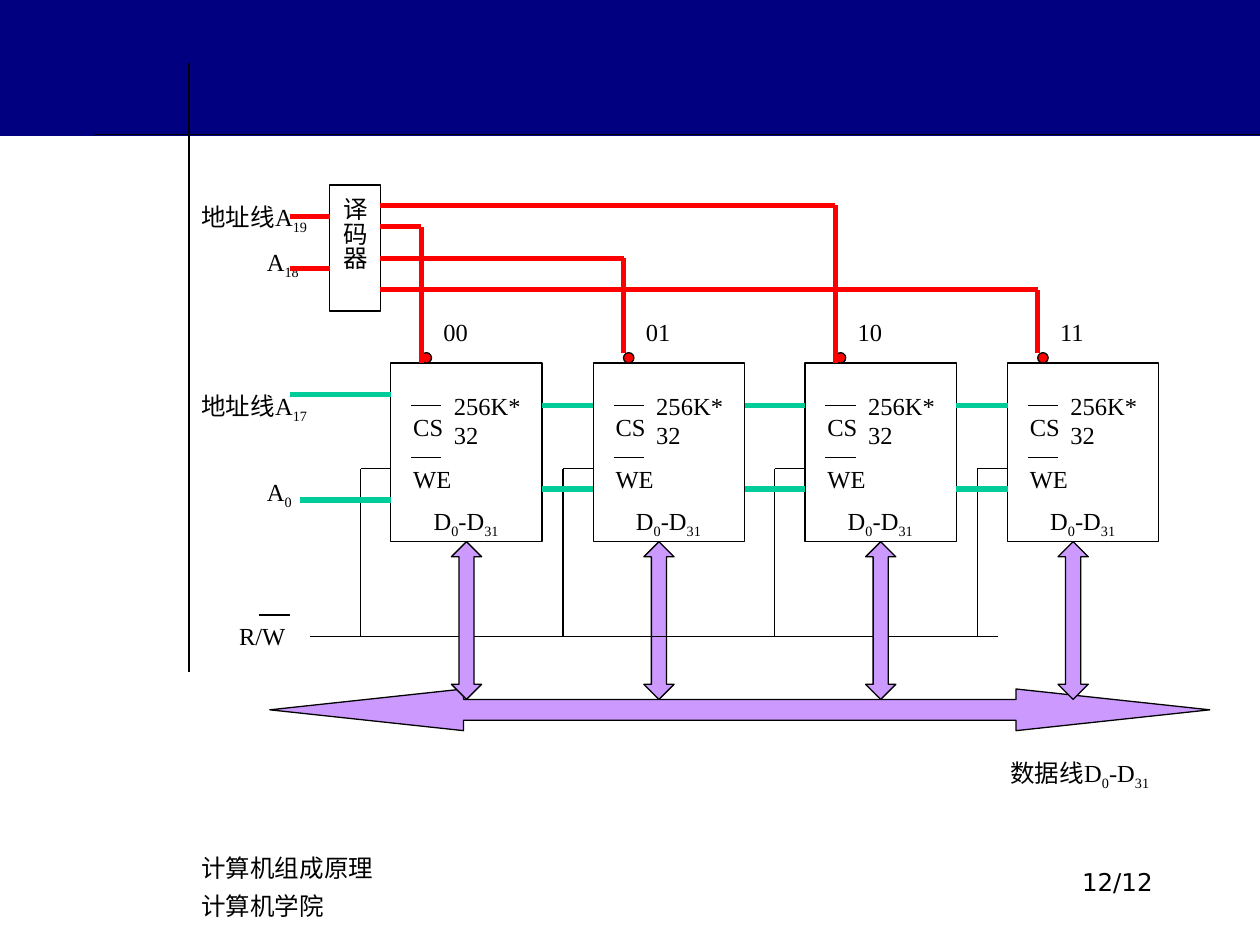
from dataclasses import dataclass

from lxml import etree
from pptx import Presentation
from pptx.dml.color import RGBColor
from pptx.enum.shapes import MSO_CONNECTOR, MSO_SHAPE
from pptx.enum.text import MSO_ANCHOR, MSO_AUTO_SIZE, PP_ALIGN
from pptx.oxml.ns import qn
from pptx.util import Cm, Pt

STRAIGHT = MSO_CONNECTOR.STRAIGHT
RECTANGLE, OVAL = MSO_SHAPE.RECTANGLE, MSO_SHAPE.OVAL
WIDE_ARROW, TALL_ARROW = MSO_SHAPE.LEFT_RIGHT_ARROW, MSO_SHAPE.UP_DOWN_ARROW
LEFT, CENTER, RIGHT = PP_ALIGN.LEFT, PP_ALIGN.CENTER, PP_ALIGN.RIGHT
MIDDLE = MSO_ANCHOR.MIDDLE
GROW, FIXED = MSO_AUTO_SIZE.SHAPE_TO_FIT_TEXT, MSO_AUTO_SIZE.NONE

COLORS = {"ink": "000000", "header": "000080", "select": "FF0000",
          "address": "00CC99", "data": "CC99FF"}
SERIF, SANS = "Times New Roman", "DejaVu Sans"

CHIP_TOP, CHIP_WIDTH, CHIP_HEIGHT = 7.32, 3.05, 3.6
CHIP_BOTTOM = CHIP_TOP + CHIP_HEIGHT
SELECT_OFFSET, WRITE_OFFSET = 0.61, -0.61
CONTROL_TOP, CONTROL_BOTTOM = 9.45, 12.83
DECODER_LEFT, DECODER_WIDTH = 6.65, 1.02
DECODER_RIGHT = DECODER_LEFT + DECODER_WIDTH


@dataclass(frozen=True)
class Chip:
    code: str
    left: float
    arrow_offset: float
    select_top: float
    select_bottom: float


@dataclass(frozen=True)
class Label:
    text: str
    left: float
    top: float
    width: float
    height: float = 0.84


CHIPS = [
    Chip("00", 7.88, 1.22, 4.57, 7.32),
    Chip("01", 11.96, 1.02, 5.21, 7.11),
    Chip("10", 16.23, 1.22, 4.14, 7.32),
    Chip("11", 20.31, 1.02, 5.84, 7.11),
]
CHIP_LABELS = [
    Label("CS", 0.2, 8.18, 1.42),
    Label("WE", 0.2, 9.22, 1.42),
    Label("256K*32", 1.02, 7.75, 2.03, 1.45),
    Label("D|0|-D|31", 0.61, 10.08, 2.03),
]


def color(name: str) -> RGBColor:
    """Return the named colour."""
    return RGBColor.from_string(COLORS[name])


def add_run(paragraph, text: str, font: str, subscript: bool):
    """Append one formatted run."""
    run = paragraph.add_run()
    run.text = text
    run.font.size = Pt(14)
    run.font.name = font
    run.font.color.rgb = color("ink")
    properties = run._r.get_or_add_rPr()
    etree.SubElement(properties, qn("a:ea")).set("typeface", SANS)
    if subscript:
        properties.set("baseline", "-25000")


def write_text(frame, text, *, font=SERIF, align=LEFT, indent=0, gap=0, spacing=None):
    """Fill a frame; bars separate subscripts and slashes pairs break lines."""
    for index, line in enumerate(text.split("\n")):
        paragraph = frame.paragraphs[0] if index == 0 else frame.add_paragraph()
        paragraph.alignment = align
        if spacing:
            paragraph.line_spacing = spacing
        if index:
            paragraph.space_before = Pt(gap)
            if indent:
                paragraph._p.get_or_add_pPr().set("marL", str(Cm(indent)))
        for row, words in enumerate(line.split("//")):
            if row:
                paragraph.add_line_break()
                etree.SubElement(paragraph._p[-1], qn("a:rPr")).set("sz", "1400")
            for position, part in enumerate(words.split("|")):
                add_run(paragraph, part, font, position % 2 == 1)


def add_label(slide, label: Label, *, auto_size=GROW, **text_format):
    """Add a wrapping text box."""
    box = slide.shapes.add_textbox(
        Cm(label.left), Cm(label.top), Cm(label.width), Cm(label.height))
    box.text_frame.word_wrap = True
    box.text_frame.auto_size = auto_size
    write_text(box.text_frame, label.text, **text_format)


def add_shape(slide, kind, left: float, top: float, width: float, height: float, *,
              fill=None, outline="ink", adjustments=()):
    """Add a preset shape without shadow."""
    shape = slide.shapes.add_shape(kind, Cm(left), Cm(top), Cm(width), Cm(height))
    shape.shadow.inherit = False
    for index, value in enumerate(adjustments):
        shape.adjustments[index] = value
    if fill:
        shape.fill.solid()
        shape.fill.fore_color.rgb = color(fill)
    else:
        shape.fill.background()
    if outline:
        shape.line.color.rgb = color(outline)
        shape.line.width = Pt(0.75)
    else:
        shape.line.fill.background()
    return shape


def add_path(slide, *points, stroke="ink", weight=0.75):
    """Join the points with straight connectors."""
    for start, end in zip(points, points[1:]):
        connector = slide.shapes.add_connector(
            STRAIGHT, Cm(start[0]), Cm(start[1]), Cm(end[0]), Cm(end[1]))
        connector.line.color.rgb = color(stroke)
        connector.line.width = Pt(weight)
        etree.SubElement(connector._element.spPr, qn("a:effectLst"))


def add_chip(slide, chip: Chip):
    """Draw one memory chip with its labels, write line and data arrow."""
    add_shape(slide, RECTANGLE, chip.left, CHIP_TOP, CHIP_WIDTH, CHIP_HEIGHT)
    for label in CHIP_LABELS:
        add_label(slide, Label(label.text, chip.left + label.left, label.top,
                               label.width, label.height))
    for top in (8.18, 9.22):
        add_path(slide, (chip.left + 0.41, top), (chip.left + 1.02, top))
    add_label(slide, Label(chip.code, chip.left + 0.81, 6.27, 1.63))
    add_shape(slide, OVAL, chip.left + SELECT_OFFSET, 7.11, 0.21, 0.21, fill="select")
    add_shape(slide, TALL_ARROW, chip.left + chip.arrow_offset, CHIP_BOTTOM, 0.61, 3.18,
              fill="data", adjustments=(1.0, 0.5))
    write_left = chip.left + WRITE_OFFSET
    add_path(slide, (chip.left, CONTROL_TOP), (write_left, CONTROL_TOP),
             (write_left, CONTROL_BOTTOM))


def add_address_lines(slide):
    """Draw the low address lines through the chips."""
    first = CHIPS[0].left
    segments = [(5.84, first, 7.95), (6.05, first, 10.08)]
    for chip, following in zip(CHIPS, CHIPS[1:]):
        segments += [(chip.left + CHIP_WIDTH, following.left, top) for top in (8.18, 9.86)]
    for start, end, top in segments:
        add_path(slide, (start, top), (end, top), stroke="address", weight=3)


def add_decoder(slide):
    """Draw the decoder with its inputs and chip select lines."""
    decoder = add_shape(slide, RECTANGLE, DECODER_LEFT, 3.73, DECODER_WIDTH, 2.54)
    frame = decoder.text_frame
    frame.word_wrap = False
    frame.vertical_anchor = MIDDLE
    frame._txBody.bodyPr.set("vert", "eaVert")
    write_text(frame, "译码器", align=CENTER)
    add_label(slide, Label("地址线A|19\nA|18", 3.81, 3.94, 5.28, 1.75), indent=1.32, gap=7)
    for top in (4.37, 5.41):
        add_path(slide, (5.84, top), (DECODER_LEFT, top), stroke="select", weight=3)
    for chip in CHIPS:
        turn = chip.left + SELECT_OFFSET
        add_path(slide, (DECODER_RIGHT, chip.select_top), (turn, chip.select_top),
                 (turn, chip.select_bottom), stroke="select", weight=3)


def main():
    """Build the memory expansion slide."""
    presentation = Presentation()
    presentation.slide_width, presentation.slide_height = Cm(25.4), Cm(19.05)
    slide = presentation.slides.add_slide(presentation.slide_layouts[6])
    add_shape(slide, RECTANGLE, 0, 0, 25.4, 2.74, fill="header", outline=None)
    add_path(slide, (25.4, 2.71), (1.9, 2.71))
    add_path(slide, (3.81, 1.27), (3.81, 13.54))
    add_label(slide, Label("计算机组成原理//计算机学院", 3.81, 16.89, 12.07, 1.27),
              auto_size=FIXED, font=SANS, spacing=1.3)
    add_label(slide, Label("12/12", 18.21, 17.35, 5.28, 1.27),
              auto_size=FIXED, font=SANS, align=RIGHT)
    add_label(slide, Label("地址线A|17\nA|0", 3.81, 7.75, 5.28, 2.64), indent=1.32, gap=30)
    add_shape(slide, WIDE_ARROW, 5.44, 13.89, 18.95, 0.84,
              fill="data", adjustments=(0.5, 4.65))
    add_label(slide, Label("数据线D|0|-D|31", 20.12, 15.16, 5.28))
    for chip in CHIPS[1::2]:
        add_chip(slide, chip)
    add_path(slide, (6.25, CONTROL_BOTTOM), (20.12, CONTROL_BOTTOM))
    for chip in CHIPS[::2]:
        add_chip(slide, chip)
    add_address_lines(slide)
    add_decoder(slide)
    add_label(slide, Label("R/W", 4.57, 12.4, 1.88))
    add_path(slide, (5.23, 12.4), (5.84, 12.4))
    presentation.save("out.pptx")


if __name__ == "__main__":
    main()
